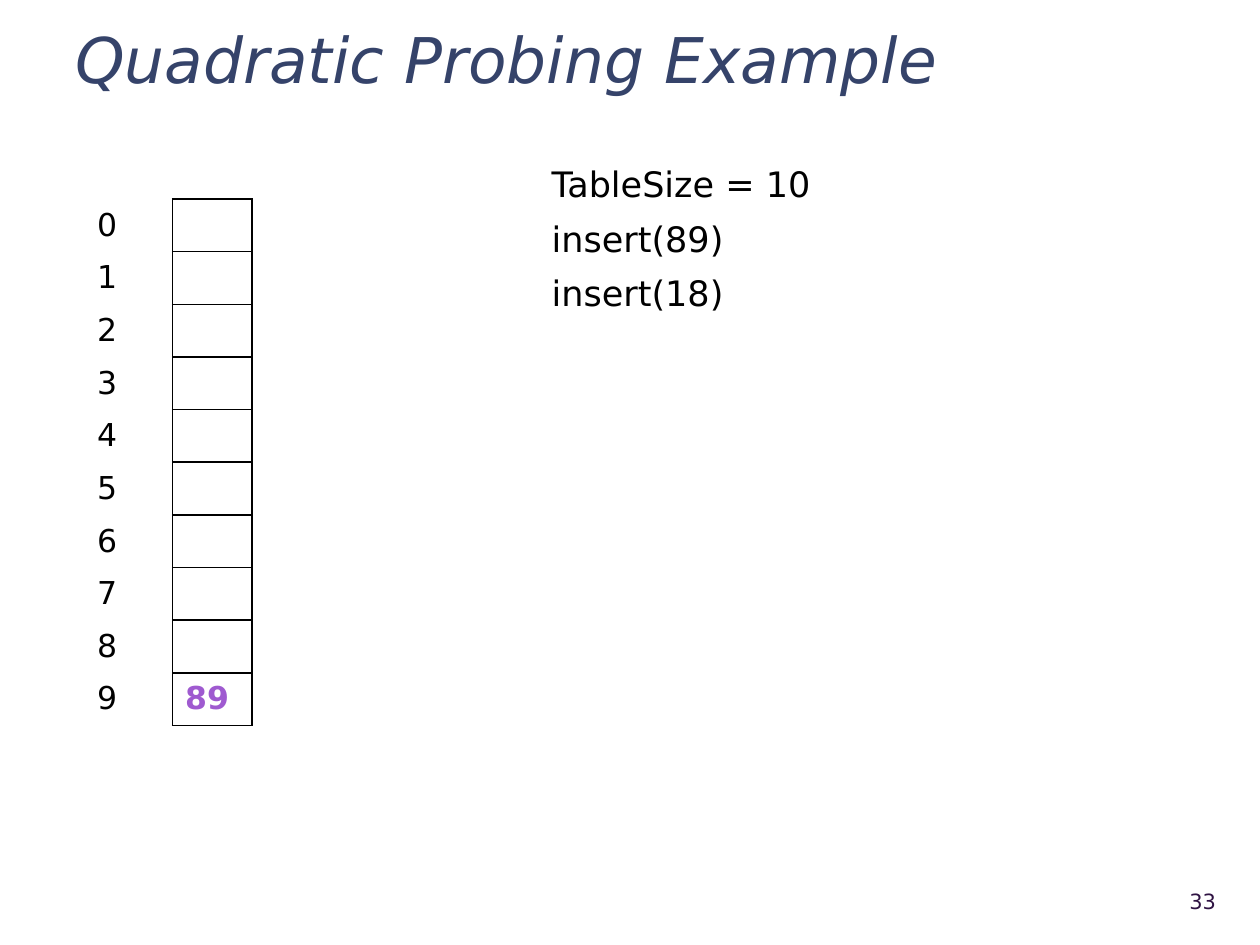
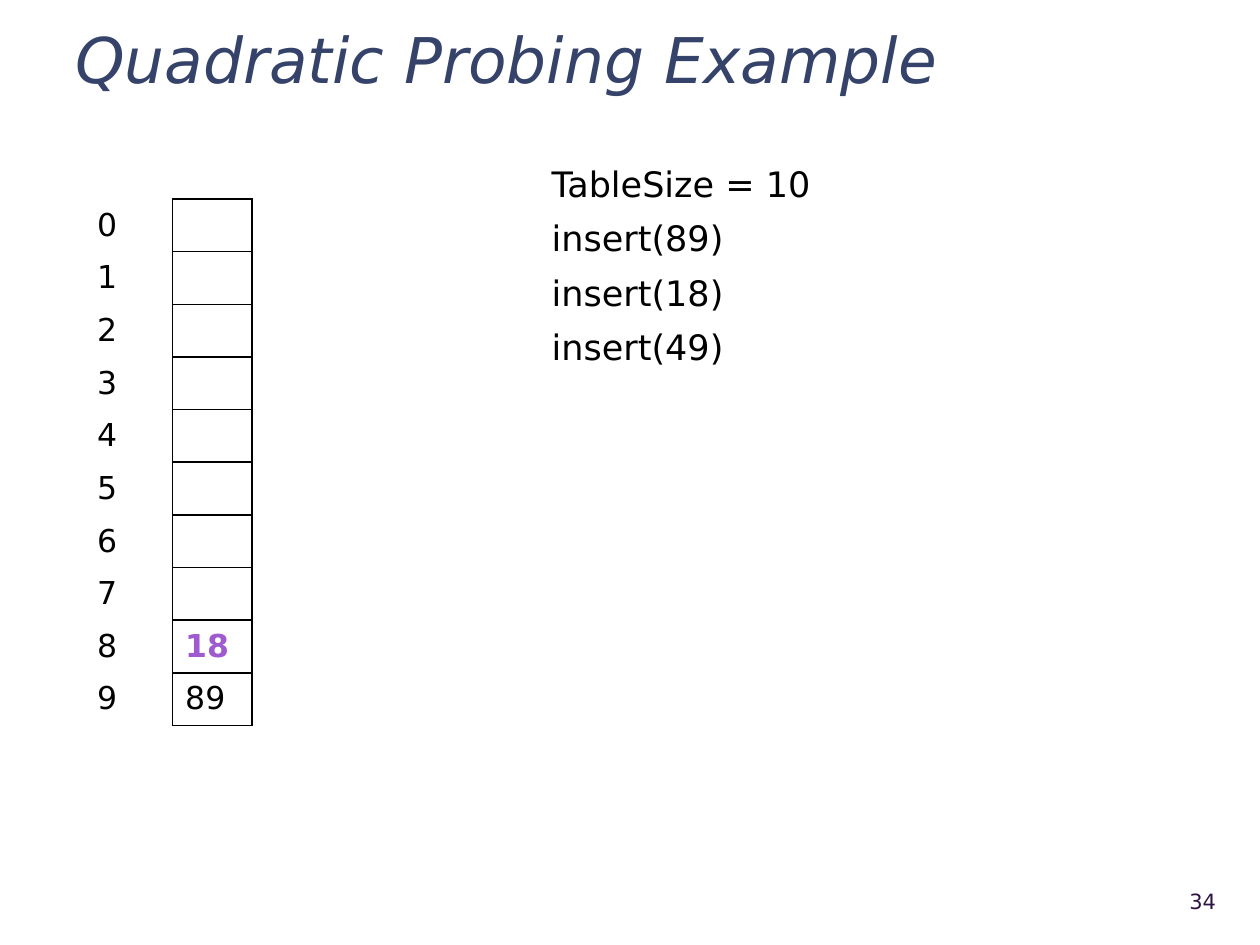
from dataclasses import dataclass

from lxml import etree
from pptx import Presentation
from pptx.dml import color
from pptx.enum import text
from pptx.oxml import ns
from pptx.util import Inches, Pt


@dataclass(frozen=True)
class Theme:
    face: str = "DejaVu Sans"
    navy: str = "35436A"
    plum: str = "2F1343"
    black: str = "000000"
    violet: str = "9F5AD0"
    head: int = 36
    body: int = 20
    cell: int = 18
    foot: int = 12
    rule: int = 1


class Deck:
    WIDE, HIGH = 10, 7.5
    COLS, ROWS = 100, 75

    def __init__(self, theme):
        self.theme = theme
        self.show = Presentation()
        self.show.slide_width = Inches(self.WIDE)
        self.show.slide_height = Inches(self.HIGH)
        self.slide = None

    def start(self):
        self.slide = self.show.slides.add_slide(self.show.slide_layouts[6])

    def place(self, left, top, wide, high):
        across, down = self.WIDE / self.COLS, self.HIGH / self.ROWS
        return [Inches(left * across), Inches(top * down),
                Inches(wide * across), Inches(high * down)]

    def letter(self, frame, lines, size, tint, layout=None, **font):
        look = {"name": self.theme.face, "size": Pt(size), **font}
        for i, line in enumerate(lines):
            para = frame.paragraphs[0] if i == 0 else frame.add_paragraph()
            for key, value in (layout or {}).items():
                if i or key != "space_before":
                    setattr(para, key, value)
            run = para.add_run()
            run.text = line
            for key, value in look.items():
                setattr(run.font, key, value)
            run.font.color.rgb = color.RGBColor.from_string(tint)

    def box(self, spot, lines, size, tint, anchor=text.MSO_ANCHOR.MIDDLE,
            layout=None, **font):
        frame = self.slide.shapes.add_textbox(*self.place(*spot)).text_frame
        frame.word_wrap = True
        frame.vertical_anchor = anchor
        self.letter(frame, lines, size, tint, layout, **font)

    def title(self, words):
        self.box((5, 1.7, 92.5, 5.3), [words], self.theme.head,
                 self.theme.navy, layout={"line_spacing": 1.1}, italic=True)

    def number(self, page):
        self.box((88.9, 69.5, 8.6, 4), [str(page)], self.theme.foot,
                 self.theme.plum, layout={"alignment": text.PP_ALIGN.RIGHT})

    def steps(self, lines):
        self.box((42.8, 12.3, 48.2, 0.2 + 4.2 * len(lines)), lines,
                 self.theme.body, self.theme.black, text.MSO_ANCHOR.TOP,
                 {"line_spacing": 1.04, "space_before": Pt(6)})

    def edge(self, cell, sides):
        props = cell._tc.get_or_add_tcPr()
        for i, side in enumerate(sides):
            line = etree.Element(ns.qn(f"a:ln{side}"), w=str(Pt(self.theme.rule)))
            fill = etree.SubElement(line, ns.qn("a:solidFill"))
            etree.SubElement(fill, ns.qn("a:srgbClr"), val=self.theme.black)
            props.insert(i, line)

    def slots(self, count, held, fresh):
        label, slot, row = 7, 6.3, 4.18
        spot = self.place(6.7, 15.8, label + slot, row * count)
        table = self.slide.shapes.add_table(count, 2, *spot).table
        for key in ("first_row", "horz_banding"):
            setattr(table, key, False)
        for column, width in zip(table.columns, (label, slot)):
            column.width = self.place(0, 0, width, 0)[2]
        for i in range(count):
            for j, (words, sides) in enumerate(((str(i), "R"),
                                               (held.get(i, ""), "LRTB"))):
                cell = table.cell(i, j)
                cell.fill.background()
                cell.vertical_anchor = text.MSO_ANCHOR.MIDDLE
                self.edge(cell, sides)
                new = j == 1 and i == fresh
                if words:
                    self.letter(cell.text_frame, [words], self.theme.cell,
                                self.theme.violet if new else self.theme.black,
                                bold=new)


def main():
    deck = Deck(Theme())
    size = 10
    keys = [89, 18, 49]
    held = {}
    for i, key in enumerate(keys[:2]):
        fresh = key % size
        held[fresh] = str(key)
        deck.start()
        deck.title("Quadratic Probing Example")
        deck.slots(size, held, fresh)
        deck.steps([f"TableSize = {size}"]
                   + [f"insert({k})" for k in keys[:i + 2]])
        deck.number(33 + i)
    deck.show.save("out.pptx")


if __name__ == "__main__":
    main()
